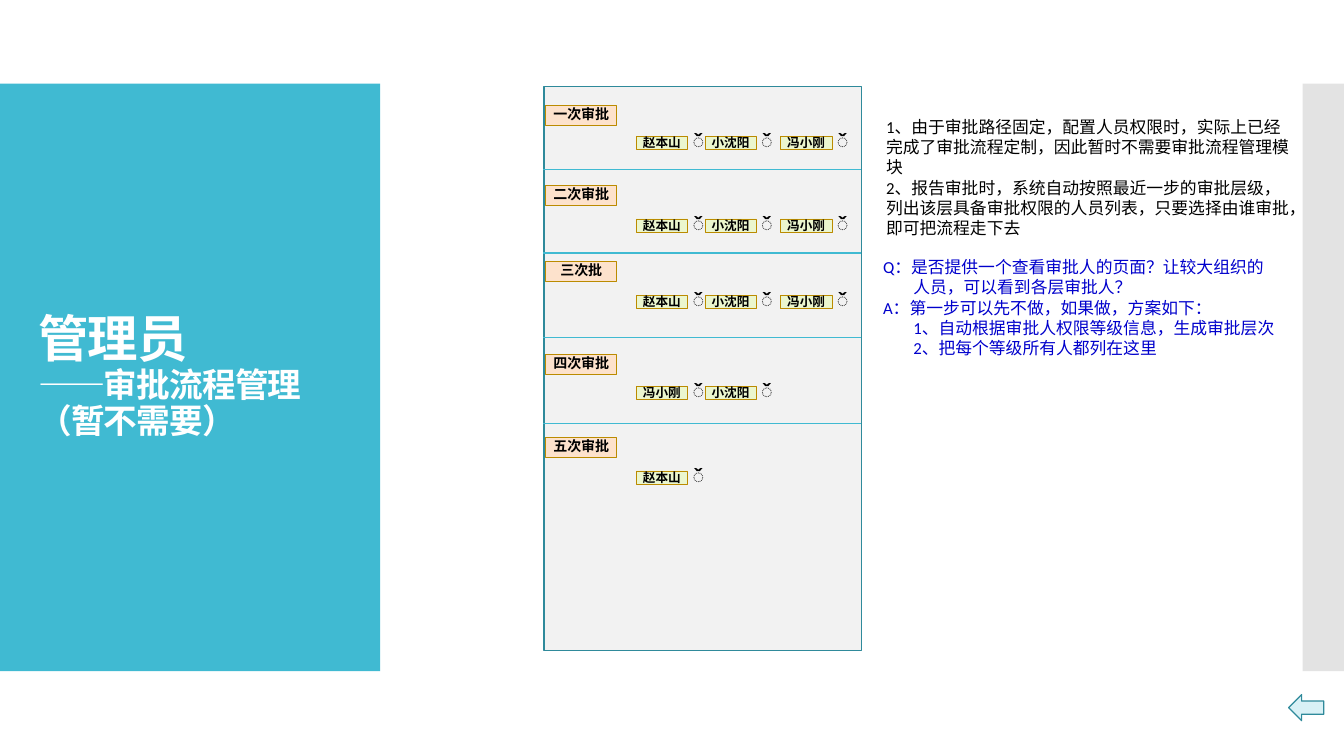
"""Build the approval workflow management slide for the administrator."""
from lxml import etree
from pptx import Presentation
from pptx.dml.color import RGBColor
from pptx.enum import shapes, text
from pptx.oxml.ns import qn
from pptx.util import Inches, Pt

TEAL = RGBColor(0x40, 0xBA, 0xD2)
DARK_TEAL = RGBColor(0x2F, 0x8A, 0x9B)
PALE_TEAL = RGBColor(0xD9, 0xF1, 0xF6)
GRAY = RGBColor(0xC8, 0xC8, 0xC8)
PANEL = RGBColor(0xF2, 0xF2, 0xF2)
PEACH = RGBColor(0xFD, 0xE2, 0xCC)
LIME = RGBColor(0xEB, 0xF6, 0xCE)
GOLD = RGBColor(0xBB, 0x8B, 0x00)
BLUE = RGBColor(0x00, 0x00, 0xCC)
BLACK = RGBColor(0, 0, 0)
WHITE = RGBColor(255, 255, 255)

RECT = shapes.MSO_SHAPE.RECTANGLE
CHIP_LEFTS = [6.31, 6.99, 7.74]
STEPS = [
    ("一次审批", 1.05, 1.35, ["赵本山", "小沈阳", "冯小刚"]),
    ("二次审批", 1.84, 2.17, ["赵本山", "小沈阳", "冯小刚"]),
    ("三次批", 2.59, 2.93, ["赵本山", "小沈阳", "冯小刚"]),
    ("四次审批", 3.52, 3.83, ["冯小刚", "小沈阳"]),
    ("五次审批", 4.34, 4.67, ["赵本山"]),
]
NOTES = [
    (8.69, 1.11, 4.2, 1.31, BLACK, [
        ("1、由于审批路径固定，配置人员权限时，实际上已经完成了审批流程定制，因此暂时不需要审批流程管理模块", 0, 0),
        ("2、报告审批时，系统自动按照最近一步的审批层级，列出该层具备审批权限的人员列表，只要选择由谁审批，即可把流程走下去", 0, 0),
    ]),
    (8.66, 2.5, 4.13, 1.11, BLUE, [
        ("Q：是否提供一个查看审批人的页面？让较大组织的人员，可以看到各层审批人？", 0.3, -0.3),
        ("A：第一步可以先不做，如果做，方案如下：", 0.59, -0.59),
        ("1、自动根据审批人权限等级信息，生成审批层次", 0.49, -0.19),
        ("2、把每个等级所有人都列在这里", 0.49, -0.19),
    ]),
]


def add_box(parent, kind, left, top, width, height, fill, line=None, weight=0):
    sp = parent.add_shape(kind, Inches(left), Inches(top), Inches(width), Inches(height))
    sp.shadow.inherit = False
    sp.fill.solid()
    sp.fill.fore_color.rgb = fill
    if line is None:
        sp.line.fill.background()
    else:
        sp.line.color.rgb = line
        sp.line.width = Pt(weight)
    return sp


def write_label(sp, words, size, align, anchor):
    tf = sp.text_frame
    tf.margin_left = tf.margin_top = tf.margin_right = tf.margin_bottom = 0
    tf.word_wrap = True
    tf.vertical_anchor = anchor
    p = tf.paragraphs[0]
    p.text = words
    p.alignment = align
    p.font.name = "Calibri"
    p.font.size = Pt(size)
    p.font.bold = True
    p.font.color.rgb = BLACK
    return tf


prs = Presentation()
prs.slide_width, prs.slide_height = Inches(13.33), Inches(7.5)
slide = prs.slides.add_slide(prs.slide_layouts[5])

add_box(slide.shapes, RECT, 0, 0.83, 3.77, 5.83, TEAL)
side_bar = add_box(slide.shapes, RECT, 12.92, 0.83, 0.41, 5.83, GRAY)
side_color = side_bar.fill._xPr.find(qn("a:solidFill"))[0]
etree.SubElement(side_color, qn("a:alpha"), val="50000")

title = slide.shapes.title
slide.shapes.element.append(title.element)
title.left, title.top = Inches(0.28), Inches(1.23)
title.width, title.height = Inches(3.22), Inches(5.03)
tf = title.text_frame
tf.word_wrap = True
tf.auto_size = text.MSO_AUTO_SIZE.NONE
tf.vertical_anchor = text.MSO_ANCHOR.MIDDLE
p = tf.paragraphs[0]
p.alignment = text.PP_ALIGN.LEFT
p.line_spacing = 0.9
p.font.name = "Calibri"
p.font.bold = True
p.font.color.rgb = WHITE
for words, size in [("管理员", 36), ("——审批流程管理（暂不需要）", 24)]:
    if p.runs:
        p.add_line_break()
    r = p.add_run()
    r.text = words
    r.font.size = Pt(size)
    r.font.element.set("spc", "-60") if hasattr(r.font, "element") else r._r.get_or_add_rPr().set("spc", "-60")

panel = add_box(slide.shapes, RECT, 4.17, 2.08, 5.6, 3.15, PANEL, DARK_TEAL, 0.85)
panel.rotation = 270

for y in [1.68, 2.51, 3.35, 4.2]:
    divider = slide.shapes.add_connector(
        shapes.MSO_CONNECTOR.STRAIGHT, Inches(5.39), Inches(y), Inches(8.54), Inches(y))
    divider.line.color.rgb = TEAL
    divider.line.width = Pt(0.75)
    etree.SubElement(divider.element.spPr, qn("a:effectLst"))

for step, label_top, chip_top, names in STEPS:
    label = add_box(slide.shapes, RECT, 5.41, label_top, 0.71, 0.2, PEACH, GOLD, 0.75)
    write_label(label, step, 10, text.PP_ALIGN.CENTER, text.MSO_ANCHOR.TOP)
    for left, name in zip(CHIP_LEFTS, names):
        group = slide.shapes.add_group_shape()
        chip = add_box(group.shapes, RECT, left, chip_top, 0.51, 0.13, LIME, GOLD, 0.25)
        write_label(chip, name, 9, text.PP_ALIGN.CENTER, text.MSO_ANCHOR.MIDDLE)
        mark = group.shapes.add_textbox(
            Inches(left + 0.56), Inches(chip_top - 0.07), Inches(0.19), Inches(0.24))
        tf = write_label(mark, "̌", 14, text.PP_ALIGN.LEFT, text.MSO_ANCHOR.TOP)
        tf.auto_size = text.MSO_AUTO_SIZE.SHAPE_TO_FIT_TEXT

for left, top, width, height, color, lines in NOTES:
    note = slide.shapes.add_textbox(Inches(left), Inches(top), Inches(width), Inches(height))
    tf = note.text_frame
    tf.word_wrap = True
    tf.auto_size = text.MSO_AUTO_SIZE.SHAPE_TO_FIT_TEXT
    for i, (words, margin, indent) in enumerate(lines):
        p = tf.add_paragraph() if i else tf.paragraphs[0]
        p.text = words
        pPr = p._p.get_or_add_pPr()
        pPr.set("marL", str(Inches(margin)))
        pPr.set("indent", str(Inches(indent)))
        p.font.name = "Calibri"
        p.font.size = Pt(12)
        p.font.color.rgb = color

back_arrow = add_box(slide.shapes, shapes.MSO_SHAPE.RIGHT_ARROW,
                     12.78, 6.89, 0.35, 0.26, PALE_TEAL, DARK_TEAL, 0.85)
back_arrow.rotation = 180

prs.save("out.pptx")
